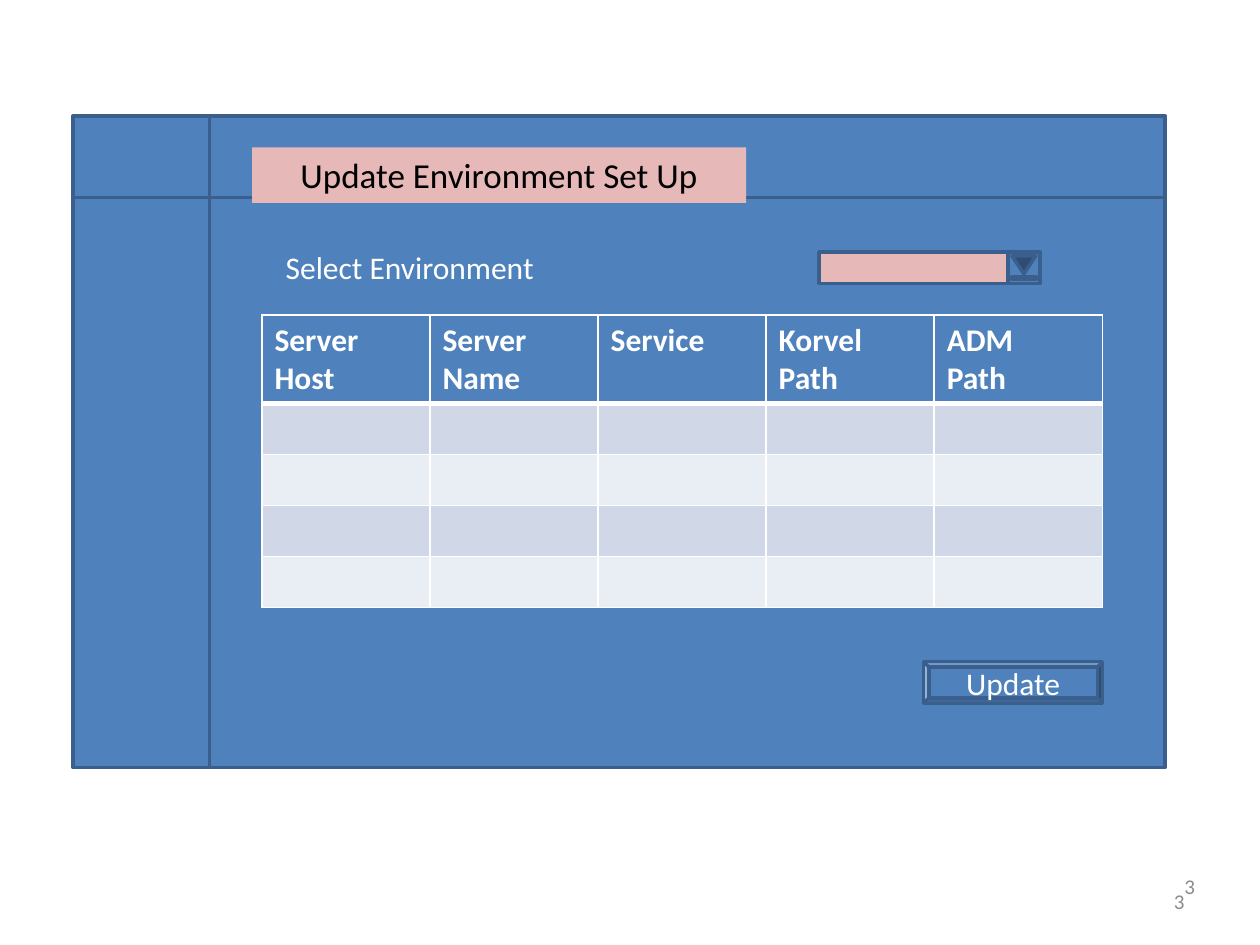
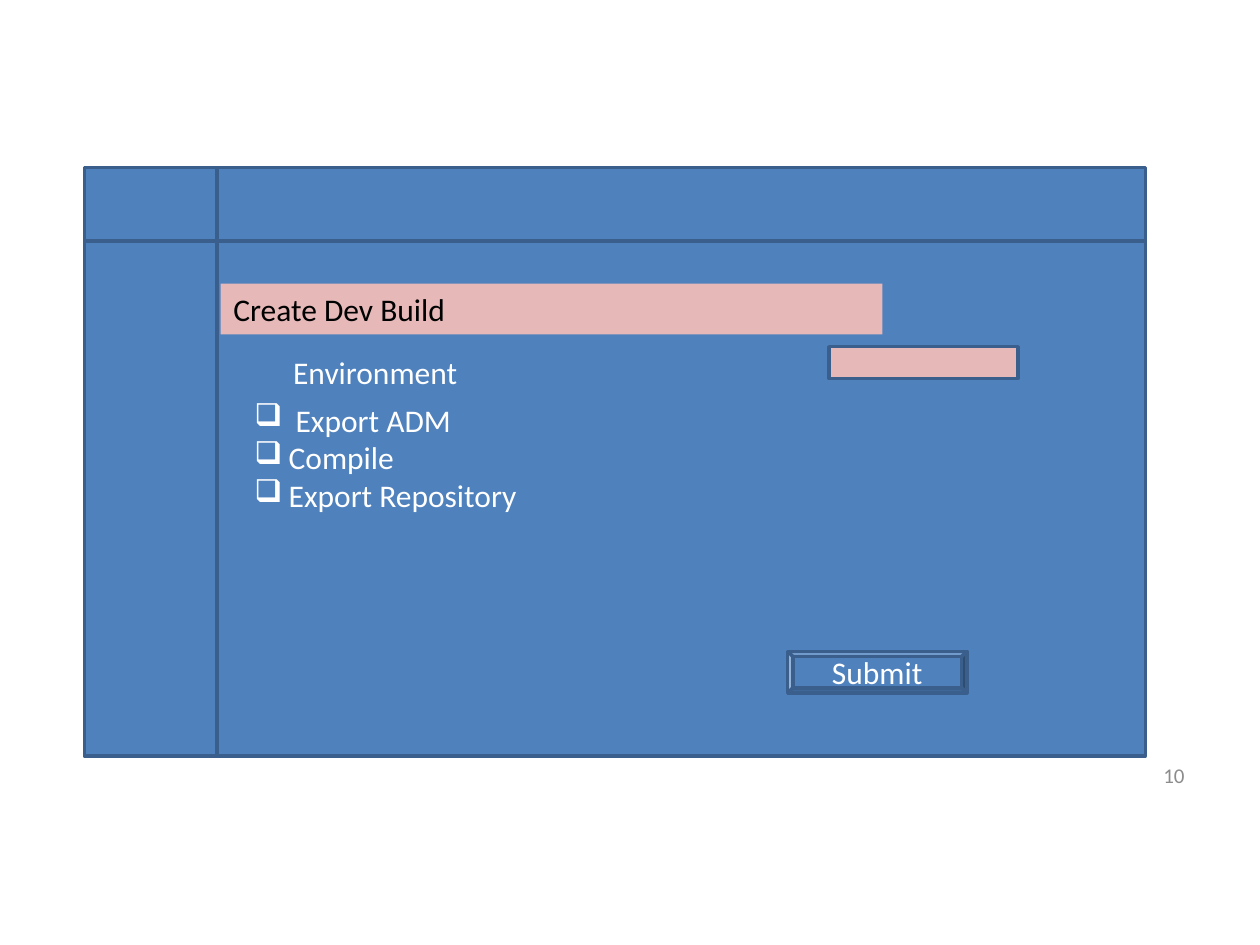
from lxml import etree
from pptx import Presentation
from pptx import util as u
from pptx.dml.color import RGBColor
from pptx.enum import shapes, text
from pptx.oxml import ns

FONT = "Calibri"
COLORS = {
    "blue": "4F81BD", "edge": "3A5F8C", "pink": "E6B9B8", "white": "FFFFFF",
    "black": "000000", "gray": "8C8C8C", "dark": "D0D8E8", "light": "E9EDF4",
}
KIND = shapes.MSO_SHAPE
ALIGN = text.PP_ALIGN
MIDDLE = text.MSO_ANCHOR.MIDDLE

# Places are in centimetres: left, top, width, height.
FIELD = (3.81, 0.64)
BUTTON = (3.61, 0.84)
NUMBER = (5.92, 1.02)
SCREENS = [
    {
        "panel": (1.47, 2.34, 22.02, 13.13),
        "title": ("Update Environment Set Up", (5.08, 2.97, 9.96, 1.12), 20, ALIGN.CENTER),
        "label": ("Select Environment", (5.51, 4.88, 7.82, 1.02)),
        "field": (16.51, 5.08),
        "button": ("Update", (18.62, 13.34)),
        "numbers": [("3", (18.21, 17.65)), ("3", (18.42, 17.35))],
    },
    {
        "panel": (1.7, 3.38, 21.39, 11.86),
        "title": ("Create Dev Build", (4.45, 5.72, 13.34, 1.02), 18, ALIGN.LEFT),
        "label": ("Environment", (5.66, 6.99, 6.35, 1.07)),
        "field": (16.71, 6.99),
        "button": ("Submit", (15.88, 13.13)),
        "numbers": [("10", (18.21, 15.11))],
    },
]
HEADS = ["Server Host", "Server Name", "Service", "Korvel Path", "ADM\nPath"]
TABLE = (5.28, 6.35, 16.94, 5.9)
HEAD_ROW, BODY_ROW, BODY_ROWS = 1.78, 1.03, 4
STEPS = [("Export ADM", 0.83), ("Compile", 0.69), ("Export Repository", 0.69)]
STEP_BOX = (4.88, 7.95, 12.9, 2.54)


def color(name):
    return RGBColor.from_string(COLORS[name])


def cm(box):
    return [u.Cm(n) for n in box]


def paint(shape, fill):
    shape.fill.solid()
    shape.fill.fore_color.rgb = color(fill)


def style(frame, size, tint, align=ALIGN.LEFT, bold=False):
    frame.word_wrap = True
    for para in frame.paragraphs:
        para.alignment = align
        font = para.font
        font.name, font.size, font.bold = FONT, u.Pt(size), bold
        font.color.rgb = color(tint)


def add_box(slide, kind, box, fill):
    shape = slide.shapes.add_shape(kind, *cm(box))
    shape.shadow.inherit = False
    paint(shape, fill)
    shape.line.color.rgb = color("edge")
    shape.line.width = u.Pt(2)
    return shape


def add_text(slide, words, box, size=18, tint="white", align=ALIGN.LEFT):
    frame = slide.shapes.add_textbox(*cm(box)).text_frame
    frame.text = words
    style(frame, size, tint, align)
    return frame


def set_title(slide, words, box, size, align):
    title = slide.shapes.title
    title.left, title.top, title.width, title.height = cm(box)
    title.element.getparent().append(title.element)  # in front of the panel
    paint(title, "pink")
    frame = title.text_frame
    frame.text = words
    frame.auto_size = text.MSO_AUTO_SIZE.NONE
    frame.vertical_anchor = text.MSO_ANCHOR.TOP
    style(frame, size, "black", align)


def add_screen(deck, data):
    """Add a slide with the parts that every screen has."""
    slide = deck.slides.add_slide(deck.slide_layouts[5])
    add_box(slide, KIND.FLOWCHART_INTERNAL_STORAGE, data["panel"], "blue")
    set_title(slide, *data["title"])
    add_text(slide, *data["label"])
    add_box(slide, KIND.RECTANGLE, data["field"] + FIELD, "pink")
    words, spot = data["button"]
    frame = add_box(slide, KIND.BEVEL, spot + BUTTON, "blue").text_frame
    frame.text = words
    frame.vertical_anchor = MIDDLE
    style(frame, 18, "white", ALIGN.CENTER)
    for digits, spot in data["numbers"]:
        frame = add_text(slide, digits, spot + NUMBER, 12, "gray", ALIGN.RIGHT)
        frame.vertical_anchor = MIDDLE
    return slide


def add_edges(cell, base):
    """Draw white cell borders, the bottom one base points wide."""
    props = cell._tc.get_or_add_tcPr()
    for spot, (side, width) in enumerate([("L", 1), ("R", 1), ("T", 1), ("B", base)]):
        line = etree.Element(ns.qn(f"a:ln{side}"), w=str(u.Pt(width)))
        fill = etree.SubElement(line, ns.qn("a:solidFill"))
        etree.SubElement(fill, ns.qn("a:srgbClr"), val=COLORS["white"])
        props.insert(spot, line)


def add_servers(slide):
    table = slide.shapes.add_table(BODY_ROWS + 1, len(HEADS), *cm(TABLE)).table
    for num, row in enumerate(table.rows):
        row.height = u.Cm(BODY_ROW if num else HEAD_ROW)
        fill = ("light" if num % 2 == 0 else "dark") if num else "blue"
        for cell, head in zip(row.cells, HEADS):
            paint(cell, fill)
            if num == 0:
                cell.text = head
                style(cell.text_frame, 18, "white", bold=True)
            # The rule under the heads belongs to both rows it parts.
            add_edges(cell, 1 if num else 3)
            if num == 1:
                cell._tc.tcPr.find(ns.qn("a:lnT")).set("w", str(u.Pt(3)))


def add_steps(slide):
    frame = add_text(slide, "\n".join(name for name, _ in STEPS), STEP_BOX)
    for para, (_, indent) in zip(frame.paragraphs, STEPS):
        props = para._p.get_or_add_pPr()
        props.set("marL", str(u.Cm(indent)))
        props.set("indent", str(-u.Cm(indent)))
        mark = etree.Element(ns.qn("a:buChar"), char="❑")
        props.find(ns.qn("a:defRPr")).addprevious(mark)


def main():
    deck = Presentation()
    deck.slide_width, deck.slide_height = u.Cm(25.4), u.Cm(19.05)
    setup, build = [add_screen(deck, data) for data in SCREENS]

    left, top = SCREENS[0]["field"]
    wide, side = FIELD
    arrow = add_box(setup, KIND.ACTION_BUTTON_END, (left + wide, top, side, side), "blue")
    arrow.rotation = 90
    add_servers(setup)
    add_steps(build)
    deck.save("out.pptx")


if __name__ == "__main__":
    main()
